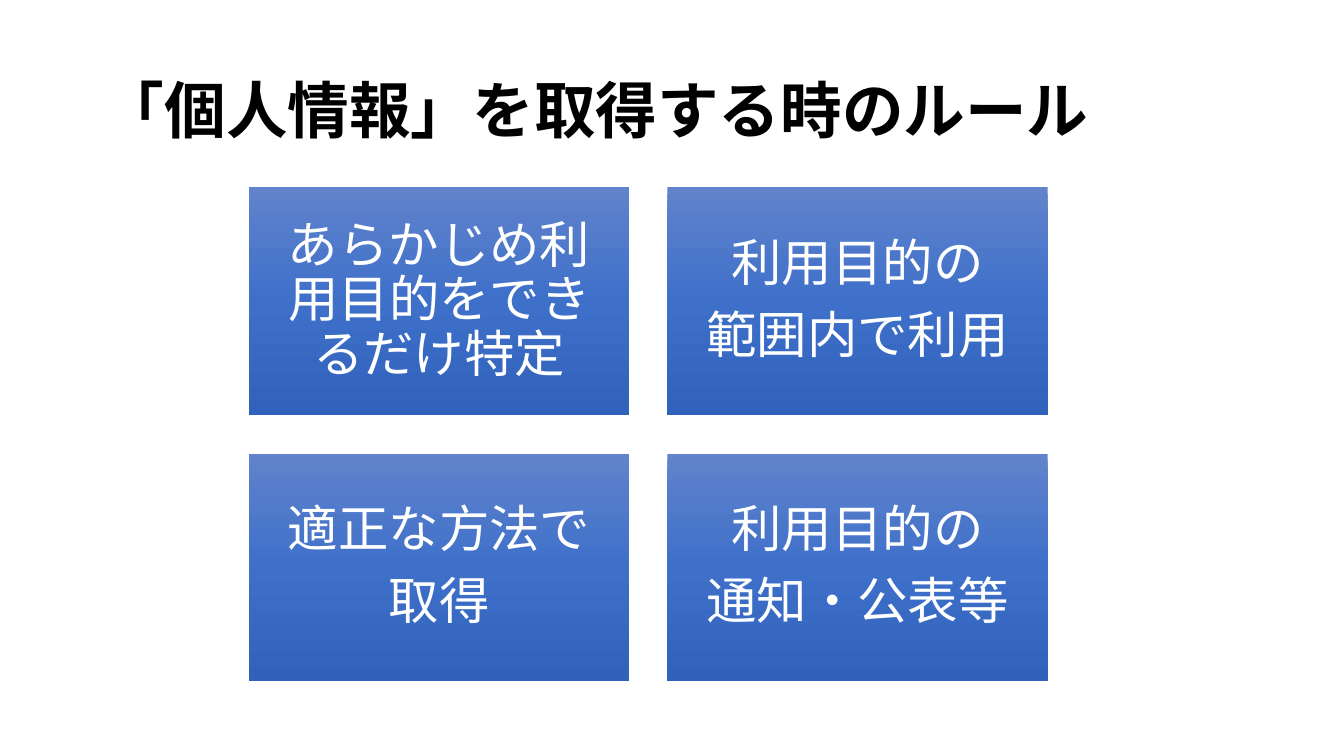
from copy import deepcopy

from pptx import Presentation
from pptx.dml.color import RGBColor
from pptx.enum.shapes import MSO_SHAPE as Preset
from pptx.enum.text import MSO_ANCHOR as Anchor, MSO_AUTO_SIZE as AutoSize, PP_ALIGN as Align
from pptx.oxml.ns import qn
from pptx.util import Pt

PX = 9144  # 100 px to the inch
SLIDE_SIZE = (1333, 750)
TITLE_BOX = (92, 40, 1150, 145)
RULES_BOX = (247, 186, 792, 490)
COLUMNS, ROWS, GAP = 2, 2, 38
RULE_INSET = 15

FONT = "Noto Sans CJK JP"
RULE_GRADIENT = [(0, "6183CB"), (0.5, "3E70CA"), (1, "3062BB")]
TITLE_FORMAT = {"size": Pt(44), "bold": True}
RULE_FORMAT = {"size": Pt(36), "bold": False}
TITLE_SPACING = {"alignment": Align.LEFT, "line_spacing": 0.9}
RULE_SPACING = {"alignment": Align.CENTER, "line_spacing": 0.9, "space_after": Pt(12.6)}

TITLE = "「個人情報」を取得する時のルール"
RULES = [
    ["あらかじめ利用目的をできるだけ特定"],
    ["利用目的の", "範囲内で利用"],
    ["適正な方法で", "取得"],
    ["利用目的の", "通知・公表等"],
]


def px(length):
    return round(length * PX)


def rgb(code):
    return RGBColor.from_string(code)


def set_all(target, values):
    for name, value in values.items():
        setattr(target, name, value)


def write(frame, lines, color, font_format, spacing, inset=None):
    """Fill a text frame with one formatted paragraph per line."""
    set_all(frame, {"word_wrap": True, "auto_size": AutoSize.NONE,
                    "vertical_anchor": Anchor.MIDDLE})
    if inset is not None:
        sides = ("left", "top", "right", "bottom")
        set_all(frame, {f"margin_{side}": px(inset) for side in sides})
    frame.text = "\n".join(lines)
    for paragraph in frame.paragraphs:
        set_all(paragraph, spacing)
        for run in paragraph.runs:
            set_all(run.font, {"name": FONT, **font_format})
            run.font.color.rgb = rgb(color)
            east_asian = run._r.get_or_add_rPr().makeelement(qn("a:ea"), {"typeface": FONT})
            run._r.rPr.find(qn("a:latin")).addnext(east_asian)


def fill_gradient(fill, stops):
    fill.gradient()
    fill.gradient_angle = 270
    stop_list = fill._fill._gradFill.find(qn("a:gsLst"))
    while len(stop_list) < len(stops):
        stop_list.append(deepcopy(stop_list[0]))
    for stop, (position, color) in zip(fill.gradient_stops, stops):
        stop.position = position
        stop.color.rgb = rgb(color)


def add_title(slide, box):
    title = slide.shapes.title
    set_all(title, dict(zip(("left", "top", "width", "height"), map(px, box))))
    write(title.text_frame, [TITLE], "000000", TITLE_FORMAT, TITLE_SPACING)


def add_rule(slide, box, lines):
    rule = slide.shapes.add_shape(Preset.RECTANGLE, *map(px, box))
    rule.shadow.inherit = False
    rule.line.fill.background()
    fill_gradient(rule.fill, RULE_GRADIENT)
    write(rule.text_frame, lines, "FFFFFF", RULE_FORMAT, RULE_SPACING, RULE_INSET)


def add_rule_grid(slide, box):
    left, top, width, height = box
    rule_width = (width - GAP * (COLUMNS - 1)) / COLUMNS
    rule_height = (height - GAP * (ROWS - 1)) / ROWS
    for index, lines in enumerate(RULES):
        row, column = divmod(index, COLUMNS)
        x = left + column * (rule_width + GAP)
        y = top + row * (rule_height + GAP)
        add_rule(slide, (x, y, rule_width, rule_height), lines)


def main():
    deck = Presentation()
    deck.slide_width, deck.slide_height = map(px, SLIDE_SIZE)
    slide = deck.slides.add_slide(deck.slide_layouts[5])
    add_title(slide, TITLE_BOX)
    add_rule_grid(slide, RULES_BOX)
    deck.save("out.pptx")


if __name__ == "__main__":
    main()
